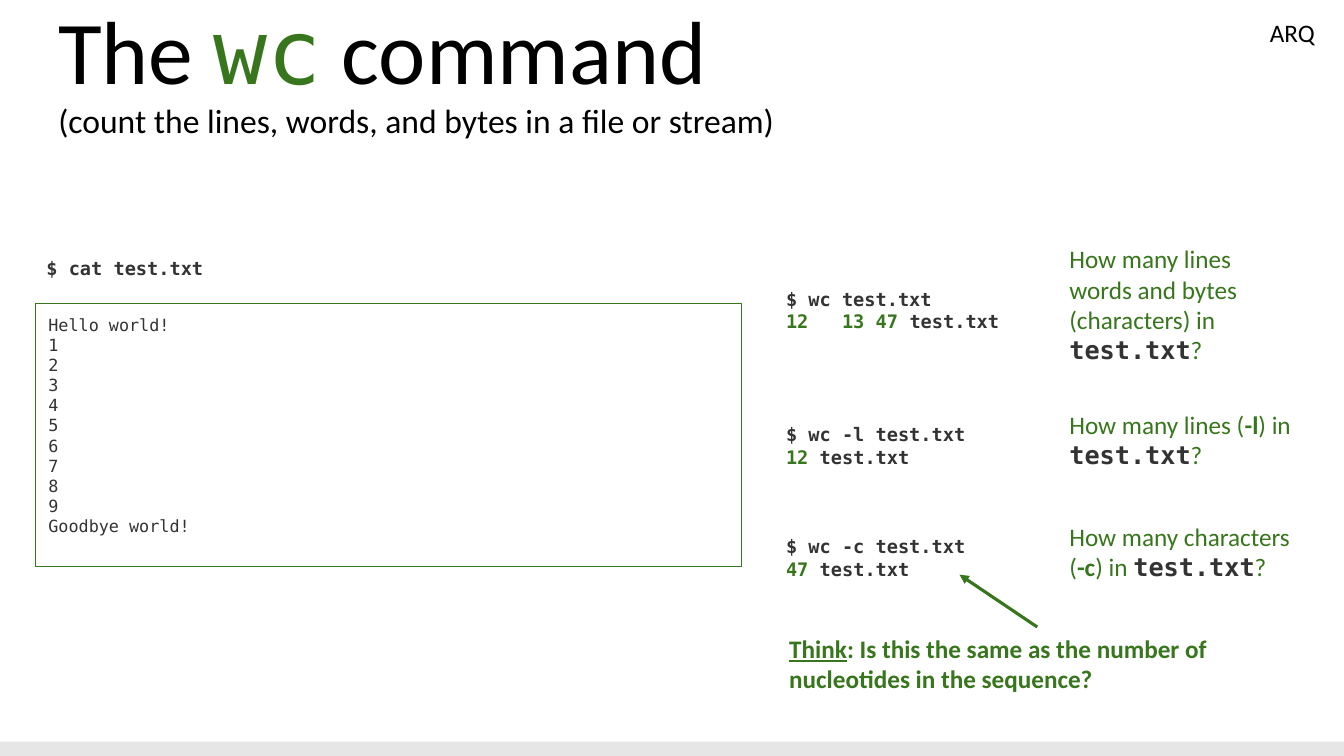
"""Build the slide on the wc command."""
from lxml import etree
from pptx import Presentation, util as u
from pptx.dml.color import RGBColor
from pptx.enum import shapes, text
from pptx.oxml import ns

GREEN, DARK, BLACK, GREY = "38761D", "333333", "000000", "E7E6E6"
SANS, MONO = "Calibri", "DejaVu Sans Mono"
INSET = 0.33

STYLES = {
    "head": (BLACK, dict(name=SANS, size=64)),
    "name": (GREEN, dict(name=MONO, size=64)),
    "sub": (BLACK, dict(name=SANS, size=24)),
    "tag": (BLACK, dict(name=SANS, size=18)),
    "list": (DARK, dict(name=MONO, size=12)),
    "code": (DARK, dict(name=MONO, size=13.3, bold=True)),
    "count": (GREEN, dict(name=MONO, size=13.3, bold=True)),
    "ask": (GREEN, dict(name=SANS, size=18)),
    "flag": (GREEN, dict(name=SANS, size=18, bold=True)),
    "think": (GREEN, dict(name=SANS, size=18, bold=True, underline=True)),
    "file": (DARK, dict(name=MONO, size=18, bold=True)),
}

FILE = "test.txt"
TITLE = [
    [("head", "The "), ("name", "wc"), ("head", " command")],
    [("sub", "(count the lines, words, and bytes in a file or stream)")],
]
LINES = ["Hello world!", *map(str, range(1, 10)), "Goodbye world!"]
THINK = [[("think", "Think"),
          ("flag", ": Is this the same as the number of nucleotides in the sequence?")]]
TASKS = [
    (7.16, "$ wc ", "12   13 47 ",
     [("ask", "How many lines words and bytes (characters) in ")]),
    (10.57, "$ wc -l ", "12 ",
     [("ask", "How many lines ("), ("flag", "-l"), ("ask", ") in ")]),
    (13.39, "$ wc -c ", "47 ",
     [("ask", "How many characters ("), ("flag", "-c"), ("ask", ") in ")]),
]


def tint(code):
    return RGBColor.from_string(code)


def write(frame, paras, pads=(INSET,) * 4, space=1.0,
          anchor=text.MSO_ANCHOR.MIDDLE):
    frame.word_wrap = True
    frame.vertical_anchor = anchor
    for side, pad in zip(("left", "top", "right", "bottom"), pads):
        setattr(frame, "margin_" + side, u.Cm(pad))
    for i, runs in enumerate(paras):
        para = frame.add_paragraph() if i else frame.paragraphs[0]
        para.line_spacing = space
        para.alignment = text.PP_ALIGN.LEFT
        for style, words in runs:
            run = para.add_run()
            run.text = words
            color, form = STYLES[style]
            for key, value in form.items():
                setattr(run.font, key, u.Pt(value) if key == "size" else value)
            run.font.color.rgb = tint(color)


def label(slide, spot, paras, **form):
    box = slide.shapes.add_textbox(*map(u.Cm, spot))
    write(box.text_frame, paras, **form)


def block(slide, spot, fill=None, line=None):
    box = slide.shapes.add_shape(shapes.MSO_SHAPE.RECTANGLE, *map(u.Cm, spot))
    box.shadow.inherit = False
    for part, color in ((box.fill, fill), (box.line.fill, line)):
        if color:
            part.solid()
            part.fore_color.rgb = tint(color)
        else:
            part.background()
    if line:
        box.line.width = u.Pt(0.75)
    return box


def arrow(slide, *ends):
    link = slide.shapes.add_connector(
        shapes.MSO_CONNECTOR.STRAIGHT, *map(u.Cm, ends))
    link.line.color.rgb = tint(GREEN)
    link.line.width = u.Pt(2.25)
    props = link.element.spPr
    tip = etree.SubElement(props.find(ns.qn("a:ln")), ns.qn("a:tailEnd"))
    tip.set("type", "triangle")
    etree.SubElement(props, ns.qn("a:effectLst"))


def main():
    deck = Presentation()
    deck.slide_width, deck.slide_height = u.Cm(33.87), u.Cm(19.05)
    slide = deck.slides.add_slide(deck.slide_layouts[6])

    block(slide, (0, 18.69, 33.87, 0.36), fill=GREY)
    label(slide, (1.14, 0.33, 31.55, 3.07), TITLE, space=0.9)
    label(slide, (31.75, 0.3, 1.9, 1.02), [[("tag", "ARQ")]],
          pads=(0.25, 0.13, 0.25, 0.13), anchor=text.MSO_ANCHOR.TOP)

    frame = block(slide, (0.89, 7.65, 17.81, 6.63), line=GREEN).text_frame
    write(frame, [[("list", row)] for row in LINES],
          pads=(INSET, INSET, INSET, INSET + 0.5))
    label(slide, (0.84, 5.54, 11.1, 2.41), [[("code", "$ cat " + FILE)]])

    for top, call, count, ask in TASKS:
        label(slide, (19.48, top, 11.1, 1.32),
              [[("code", call + FILE)], [("count", count), ("code", FILE)]])
        label(slide, (26.62, top - 0.41, 6.45, 1.83),
              [ask + [("file", FILE), ("ask", "?")]])

    label(slide, (19.56, 15.8, 13.18, 1.83), THINK)
    arrow(slide, 26.14, 15.8, 24.18, 14.48)
    deck.save("out.pptx")


if __name__ == "__main__":
    main()
